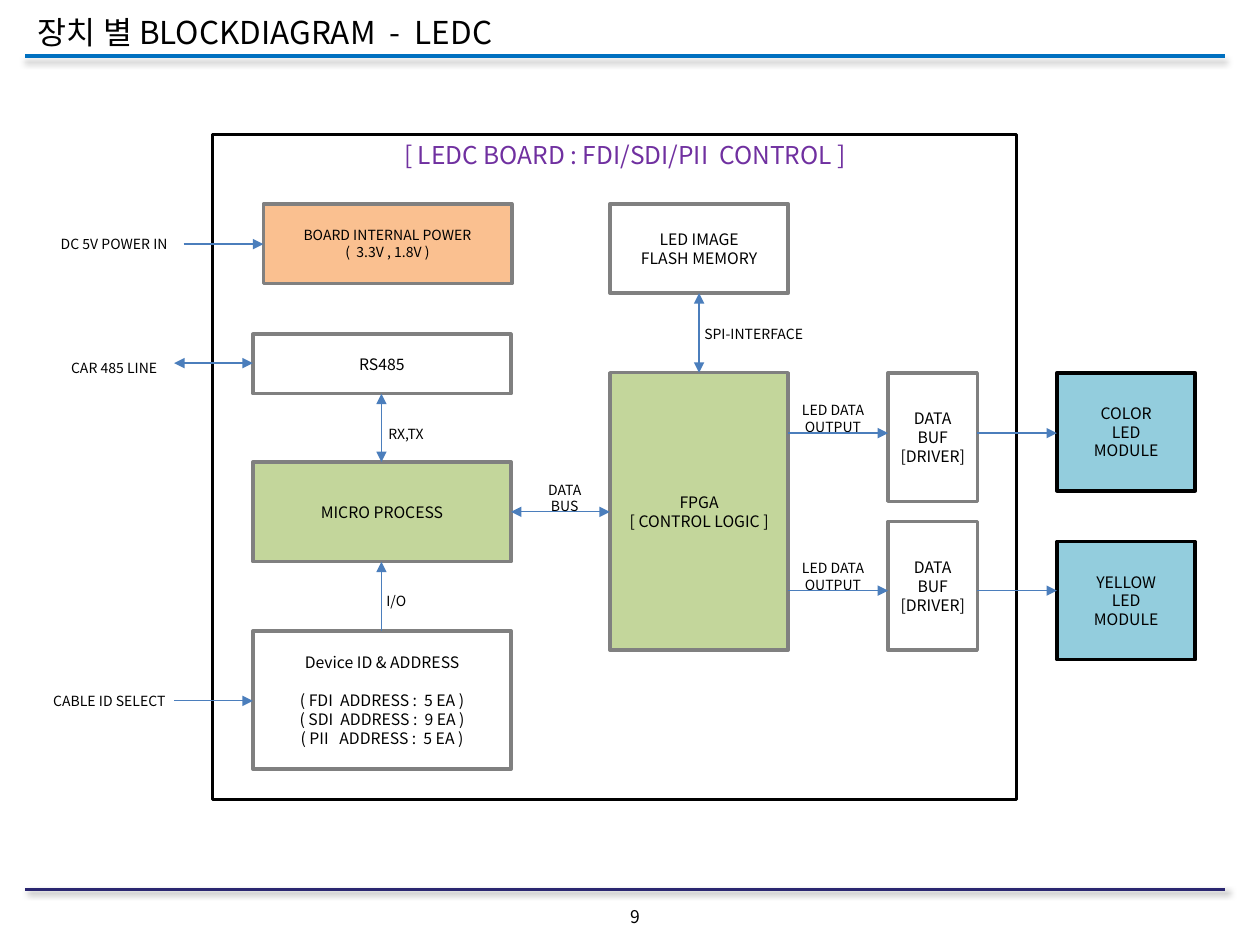
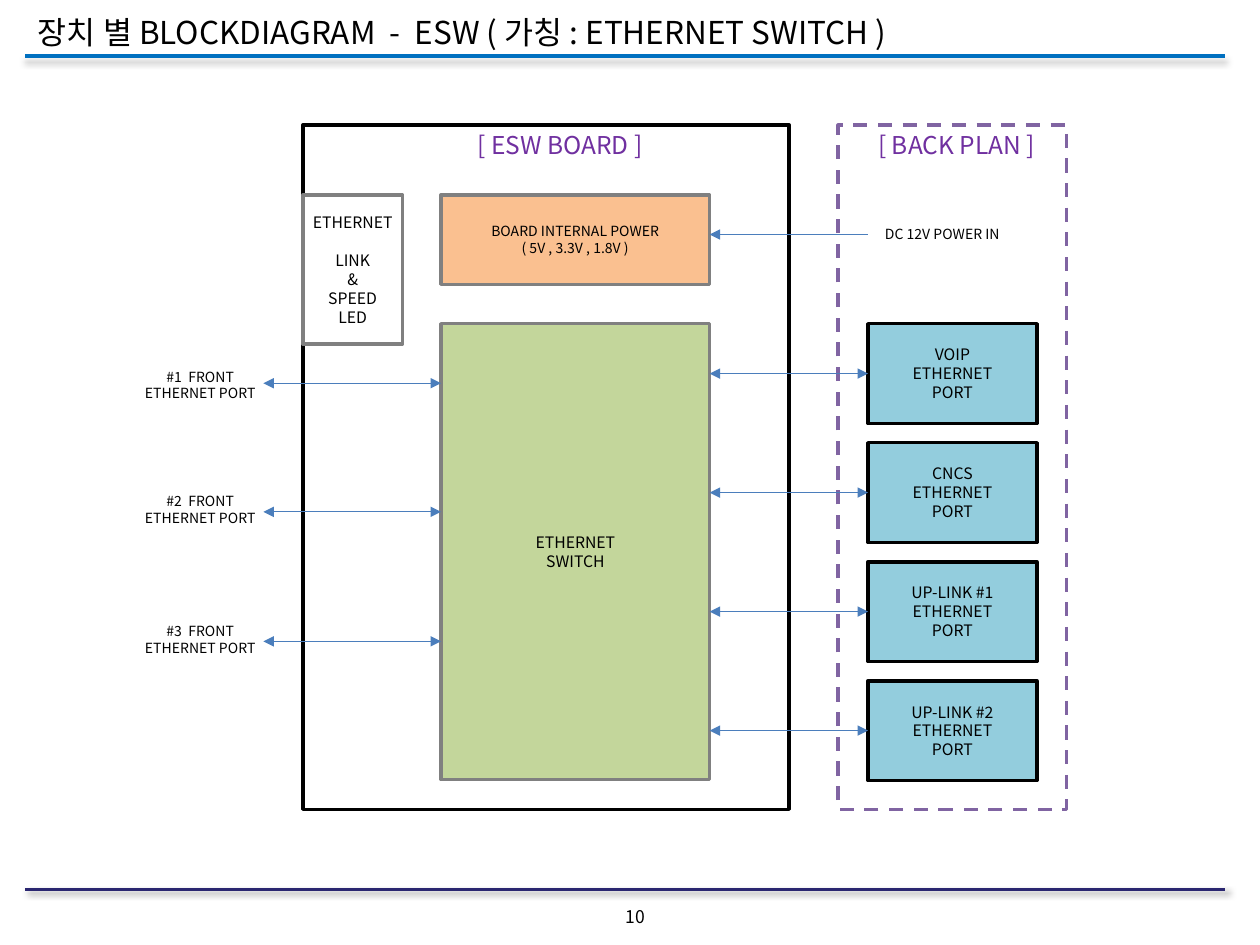
import pptx
import pptx.dml.color
import pptx.enum.dml
import pptx.enum.shapes
import pptx.enum.text
import pptx.oxml.ns
import pptx.util
from lxml import etree

Pt = pptx.util.Pt
ALIGN = pptx.enum.text.PP_ALIGN
FONT = "Noto Sans CJK KR"
COLORS = {
    "black": "000000",
    "white": "FFFFFF",
    "gray": "808080",
    "green": "C3D69B",
    "orange": "FAC090",
    "cyan": "93CDDD",
    "arrow": "4B7EBC",
    "heading": "7030A0",
    "dash": "8064A2",
    "title rule": "0070C0",
    "footer rule": "2A2670",
}
TITLE_ONLY = 5
LINE_HEIGHT = 1.2


def color(name):
    return pptx.dml.color.RGBColor.from_string(COLORS[name])


def add_element(parent, tag, **attributes):
    return etree.SubElement(parent, pptx.oxml.ns.qn(tag), attributes)


def write_text(shape, text, size=9, ink="black", align=ALIGN.CENTER, side_inset=0, gap_after_first=0):
    """Fill a shape with one paragraph per line of text, centred vertically."""
    frame = shape.text_frame
    frame.word_wrap = True
    frame.auto_size = pptx.enum.text.MSO_AUTO_SIZE.NONE
    frame.vertical_anchor = pptx.enum.text.MSO_ANCHOR.MIDDLE
    frame.margin_left = frame.margin_right = Pt(side_inset)
    frame.margin_top = frame.margin_bottom = 0
    for index, line in enumerate(text.split("\n")):
        paragraph = frame.add_paragraph() if index else frame.paragraphs[0]
        paragraph.alignment = align
        paragraph.line_spacing = Pt(size * LINE_HEIGHT)
        paragraph.space_before = Pt(gap_after_first if index == 1 else 0)
        run = paragraph.add_run()
        run.text = line
        run.font.size = Pt(size)
        run.font.name = FONT
        run.font.color.rgb = color(ink)
        add_element(run.font._element, "a:ea", typeface=FONT)


class Deck:
    """Holds the shared style and the slide being drawn."""

    def __init__(self):
        self.presentation = pptx.Presentation()
        self.presentation.slide_width = Pt(720)
        self.presentation.slide_height = Pt(540)
        self.slide = None

    def start_slide(self, title, number):
        layout = self.presentation.slide_layouts[TITLE_ONLY]
        self.slide = self.presentation.slides.add_slide(layout)
        shape = self.slide.shapes.title
        shape.left, shape.top, shape.width, shape.height = map(Pt, (14.5, 3.5, 657.5, 29))
        write_text(shape, title, size=18, align=ALIGN.LEFT, side_inset=7.2)
        self.rule(32, "title rule", opacity=40, distance=3, angle=90)
        self.rule(508.25, "footer rule", opacity=50, distance=2, angle=45)
        self.label(str(number), 337.5, 514, 51, 19.5, size=10)

    def line(self, start, end, ink, width):
        """Draw a straight line and return it with its empty effect list."""
        connector = self.slide.shapes.add_connector(
            pptx.enum.shapes.MSO_CONNECTOR.STRAIGHT, *map(Pt, (*start, *end)))
        connector.line.color.rgb = color(ink)
        connector.line.width = Pt(width)
        effects = add_element(connector._element.spPr, "a:effectLst")
        return connector, effects

    def rule(self, y, ink, opacity, distance, angle):
        """Draw a slide-wide line with a soft shadow."""
        _, effects = self.line((14.5, y), (700, y), ink, 2)
        shadow = add_element(
            effects, "a:outerShdw", blurRad=str(Pt(4)), dist=str(Pt(distance)),
            dir=str(angle * 60000), algn="t", rotWithShape="0")
        shade = add_element(shadow, "a:srgbClr", val=COLORS["black"])
        add_element(shade, "a:alpha", val=str(opacity * 1000))

    def arrow(self, start, end, both=False):
        connector, _ = self.line(start, end, "arrow", 0.75)
        outline = connector.line._get_or_add_ln()
        if both:
            add_element(outline, "a:headEnd", type="triangle")
        add_element(outline, "a:tailEnd", type="triangle")

    def box(self, text, left, top, width, height, fill=None, border="gray", dashed=False, **text_format):
        shape = self.slide.shapes.add_shape(
            pptx.enum.shapes.MSO_SHAPE.RECTANGLE, *map(Pt, (left, top, width, height)))
        shape.shadow.inherit = False
        if fill:
            shape.fill.solid()
            shape.fill.fore_color.rgb = color(fill)
        else:
            shape.fill.background()
        shape.line.color.rgb = color(border)
        shape.line.width = Pt(2)
        if dashed:
            shape.line.dash_style = pptx.enum.dml.MSO_LINE.DASH
        if text:
            write_text(shape, text, **text_format)

    def label(self, text, left, top, width, height, size=8, ink="black"):
        shape = self.slide.shapes.add_textbox(*map(Pt, (left, top, width, height)))
        write_text(shape, text, size=size, ink=ink)

    def heading(self, text, left, top, width):
        self.label(text, left, top, width, 22.5, size=14, ink="heading")


def draw_ledc(deck):
    deck.start_slide("장치 별 BLOCKDIAGRAM  -  LEDC", 9)
    deck.box("", 121.5, 77, 459.5, 380, border="black")
    deck.heading("[ LEDC BOARD : FDI/SDI/PII  CONTROL ]", 212.5, 77, 289.5)

    deck.box("BOARD INTERNAL POWER\n(  3.3V , 1.8V )", 150.5, 116.5, 142, 45.5, fill="orange", size=8)
    left, width = 144.5, 147.5
    deck.box("RS485", left, 191, width, 34)
    deck.box("MICRO PROCESS", left, 264, width, 57, fill="green")
    deck.box("Device ID & ADDRESS\n( FDI  ADDRESS :  5 EA )\n( SDI  ADDRESS :  9 EA )\n( PII   ADDRESS :  5 EA )",
             left, 360.5, width, 79, gap_after_first=10.8)
    deck.box("LED IMAGE\nFLASH MEMORY", 348.5, 116.5, 102, 51, fill="white")
    deck.box("FPGA\n[ CONTROL LOGIC ]", 348.5, 213, 102, 158.5, fill="green")

    channels = [("COLOR", 213, 213, 247.5), ("YELLOW", 298, 309.5, 337.5)]
    for name, buffer_top, module_top, y in channels:
        deck.box("DATA\nBUF\n[DRIVER]", 507.5, buffer_top, 51, 73.5)
        deck.box(f"{name}\nLED\nMODULE", 604, module_top, 79, 67.5, fill="cyan", border="black")
        deck.label("LED DATA\nOUTPUT", 450.5, y - 16.75, 51, 17)
        deck.arrow((450.5, y), (507.5, y))
        deck.arrow((558.5, y), (604, y))

    deck.arrow((105, 139.5), (150.5, 139.5))
    deck.arrow((99.5, 207.5), (left, 207.5), both=True)
    deck.arrow((99.5, 400.5), (left, 400.5))
    deck.arrow((218, 225), (218, 264), both=True)
    deck.arrow((218, 360.5), (218, 321))
    deck.arrow((292, 292.5), (348.5, 292.5), both=True)
    deck.arrow((399.5, 167.5), (399.5, 213), both=True)

    deck.label("DC 5V POWER IN", 20, 128, 90.5, 22.5)
    deck.label("CAR 485 LINE", 20, 196.5, 90.5, 28)
    deck.label("CABLE ID SELECT", 20, 394.5, 85, 11.5)
    deck.label("RX,TX", 218, 242, 28, 11.5)
    deck.label("I/O", 212.5, 337.5, 28, 11.5)
    deck.label("DATA\nBUS", 303, 276, 39.5, 17)
    deck.label("SPI-INTERFACE", 394, 185, 73.5, 11.5)


def draw_esw(deck):
    deck.start_slide("장치 별 BLOCKDIAGRAM  -  ESW ( 가칭 : ETHERNET SWITCH )", 10)
    deck.box("", 173, 71.5, 278, 391, border="black")
    deck.box("", 479, 71.5, 130.5, 391, border="dash", dashed=True)
    deck.heading("[ ESW BOARD ]", 252, 71.5, 136)
    deck.heading("[ BACK PLAN ]", 484.5, 71.5, 124.5)

    deck.box("ETHERNET\nLINK\n&\nSPEED\nLED", 173, 111.5, 57, 85, gap_after_first=10.8)
    switch_left, switch_width, port_left = 252, 153.5, 496
    switch_right = switch_left + switch_width
    deck.box("BOARD INTERNAL POWER\n( 5V , 3.3V , 1.8V )", switch_left, 111.5, switch_width, 51,
             fill="orange", size=8)
    deck.box("ETHERNET\nSWITCH", switch_left, 185, switch_width, 260.5, fill="green")
    deck.arrow((port_left, 134), (switch_right, 134))
    deck.label("DC 12V POWER IN", port_left, 122.5, 85, 22.5)

    for index, name in enumerate(["VOIP", "CNCS", "UP-LINK #1", "UP-LINK #2"]):
        top, height = 185 + 68 * index, 57
        y = top + height / 2
        deck.box(f"{name}\nETHERNET\nPORT", port_left, top, 96.5, height, fill="cyan", border="black")
        deck.arrow((switch_right, y), (port_left, y), both=True)

    front_ports = [(207.5, 219), (278.5, 292.5), (353, 366.5)]
    for number, (label_top, y) in enumerate(front_ports, start=1):
        deck.label(f"#{number}  FRONT\nETHERNET PORT", 70.5, label_top, 88, 25)
        deck.arrow((150.5, y), (switch_left, y), both=True)


def main():
    deck = Deck()
    draw_ledc(deck)
    draw_esw(deck)
    deck.presentation.save("out.pptx")


if __name__ == "__main__":
    main()
